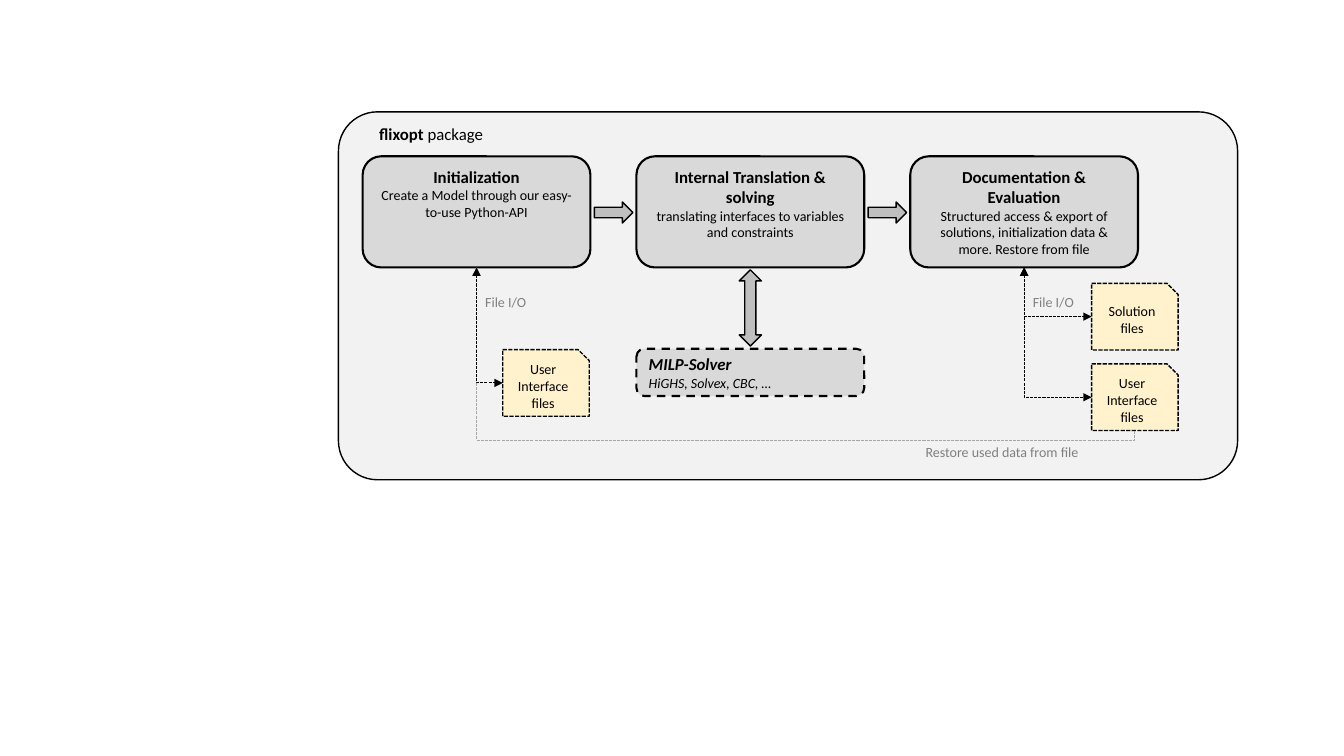
from collections import namedtuple

from pptx import Presentation
from pptx.dml.color import RGBColor
from pptx.enum.dml import MSO_LINE_DASH_STYLE as DASH
from pptx.enum.shapes import MSO_CONNECTOR as CONN, MSO_SHAPE as SHAPE
from pptx.enum.text import MSO_ANCHOR as ANCHOR, PP_ALIGN as ALIGN
from pptx.oxml.ns import qn
from pptx.util import Cm, Pt
from lxml.etree import SubElement

# All lengths are centimetres.
Box = namedtuple("Box", "x y w h")

STEP_W, STEP_H, STEP_PITCH = 5.74, 2.8, 6.9
FILE_W, FILE_H = 2.18, 1.68
STEPS = [
    ("Initialization", "Create a Model through our easy-to-use Python-API"),
    ("Internal Translation & solving",
     "translating interfaces to variables and constraints"),
    ("Documentation & Evaluation",
     "Structured access & export of solutions, initialization data & more. "
     "Restore from file"),
]


def rgb(color):
    return RGBColor.from_string(color)


def mid_x(box):
    return box.x + box.w / 2


def bottom(box):
    return mid_x(box), box.y + box.h


def left_side(box):
    return box.x, box.y + box.h / 2


def add_run(p, text, size=10, color="000000", bold=False, italic=False):
    r = p.add_run()
    r.text = text
    r.font.name, r.font.size = "Calibri", Pt(size)
    r.font.bold, r.font.italic = bold, italic
    r.font.color.rgb = rgb(color)


def add_lines(tf, lines, align=ALIGN.CENTER, anchor=ANCHOR.TOP):
    """Write one paragraph per line; a line is a list of (text, format) runs."""
    tf.word_wrap = True
    tf.vertical_anchor = anchor
    for i, line in enumerate(lines):
        p = tf.add_paragraph() if i else tf.paragraphs[0]
        p.alignment = align
        for text, fmt in line:
            add_run(p, text, **fmt)


def add_block(slide, kind, box, fill, width=1, dash=None):
    sp = slide.shapes.add_shape(kind, *map(Cm, box))
    sp.shadow.inherit = False
    sp.fill.solid()
    sp.fill.fore_color.rgb = rgb(fill)
    sp.line.color.rgb = rgb("000000")
    sp.line.width = Pt(width)
    if dash:
        sp.line.dash_style = dash
    return sp


def add_label(slide, box, text):
    sp = slide.shapes.add_textbox(*map(Cm, box))
    add_lines(sp.text_frame, [[(text, dict(color="808080"))]])


def add_elbow(slide, start, end, rot=270, bend=None, color="000000", both=True):
    """Bent arrow leaving start vertically; bend gives a three-part route."""
    (x1, y1), (x2, y2) = start, end
    cx, cy = (x1 + x2) / 2, (y1 + y2) / 2
    w, h = abs(y2 - y1), abs(x2 - x1)  # swapped by the quarter turn
    c = slide.shapes.add_connector(CONN.ELBOW, Cm(cx + w / 2), Cm(cy - h / 2),
                                   Cm(cx - w / 2), Cm(cy + h / 2))
    c.line.color.rgb = rgb(color)
    c.line.width = Pt(0.75)
    c.line.dash_style = DASH.SQUARE_DOT
    sp_pr = c._element.spPr
    sp_pr.find(qn("a:xfrm")).set("rot", str(rot * 60000))
    geom = sp_pr.find(qn("a:prstGeom"))
    if bend is None:
        geom.set("prst", "bentConnector2")
    else:
        SubElement(geom.find(qn("a:avLst")), qn("a:gd"), name="adj1",
                   fmla=f"val {round(bend * 100000)}")
    ln = sp_pr.find(qn("a:ln"))
    ln.find(qn("a:prstDash")).set("val", "sysDash")
    for tag in ("a:headEnd", "a:tailEnd") if both else ("a:tailEnd",):
        SubElement(ln, qn(tag), type="triangle")
    SubElement(sp_pr, qn("a:effectLst"))


def add_file(slide, x, y, text):
    box = Box(x, y, FILE_W, FILE_H)
    sp = add_block(slide, SHAPE.SNIP_1_RECTANGLE, box, "FFF2CC")
    sp.line.dash_style = DASH.SQUARE_DOT
    sp.line._ln.find(qn("a:prstDash")).set("val", "sysDash")
    add_lines(sp.text_frame, [[(text, {})]], anchor=ANCHOR.MIDDLE)
    return box


def add_panel(slide, box):
    sp = add_block(slide, SHAPE.ROUNDED_RECTANGLE, box, "F2F2F2")
    sp.adjustments[0] = 0.106
    tf = sp.text_frame
    tf.margin_left, tf.margin_top = Cm(0.74), 0
    add_lines(tf, [[("flixopt ", dict(size=12, bold=True)),
                    ("package", dict(size=12))]], align=ALIGN.LEFT)


def add_steps(slide, box):
    boxes = []
    for i, (title, detail) in enumerate(STEPS):
        step = Box(box.x + 0.61 + i * STEP_PITCH, box.y + 1.12, STEP_W, STEP_H)
        sp = add_block(slide, SHAPE.ROUNDED_RECTANGLE, step, "D9D9D9", 1.5)
        add_lines(sp.text_frame, [[(title, dict(size=12, bold=True))],
                                  [(detail, {})]])
        if i:
            gap_mid = step.x - (STEP_PITCH - STEP_W) / 2
            arrow = Box(gap_mid - 0.48, step.y + STEP_H / 2 - 0.25, 0.97, 0.53)
            add_block(slide, SHAPE.RIGHT_ARROW, arrow, "BFBFBF")
        boxes.append(step)
    return boxes


def add_solver(slide, step):
    x, y = bottom(step)
    add_block(slide, SHAPE.UP_DOWN_ARROW, Box(x - 0.28, y + 0.06, 0.56, 1.92),
              "BFBFBF")
    sp = add_block(slide, SHAPE.ROUNDED_RECTANGLE,
                   Box(step.x, y + 2.05, step.w, 1.19), "D9D9D9", 1.5, DASH.DASH)
    add_lines(sp.text_frame,
              [[("MILP-Solver", dict(size=12, bold=True, italic=True))],
               [("HiGHS, Solvex, CBC, …", dict(italic=True))]],
              align=ALIGN.LEFT, anchor=ANCHOR.MIDDLE)


def add_file_io(slide, step, files):
    for file in files:
        add_elbow(slide, bottom(step), left_side(file))
    add_label(slide, Box(mid_x(step) - 0.32, step.y + step.h + 0.52, 2.11, 0.69),
              "File I/O")


def add_package(slide, box):
    add_panel(slide, box)
    first, middle, last = add_steps(slide, box)
    add_solver(slide, middle)
    x, y = bottom(first)
    source = add_file(slide, x + 0.66, y + 2.07, "User Interface files")
    x, y = bottom(last)
    solution = add_file(slide, x + 1.7, y + 0.4, "Solution files")
    saved = add_file(slide, x + 1.7, y + 2.43, "User Interface files")
    add_elbow(slide, bottom(saved), bottom(first), rot=90, bend=-0.058,
              color="A6A6A6", both=False)
    add_label(slide, Box(box.x + 13.85, box.y + 8.23, 5.74, 0.69),
              "Restore used data from file")
    add_file_io(slide, first, [source])
    add_file_io(slide, last, [solution, saved])


def main():
    prs = Presentation()
    prs.slide_width, prs.slide_height = Cm(33.87), Cm(19.05)
    slide = prs.slides.add_slide(prs.slide_layouts[6])
    add_package(slide, Box(8.53, 2.82, 22.66, 9.27))
    prs.save("out.pptx")


if __name__ == "__main__":
    main()
